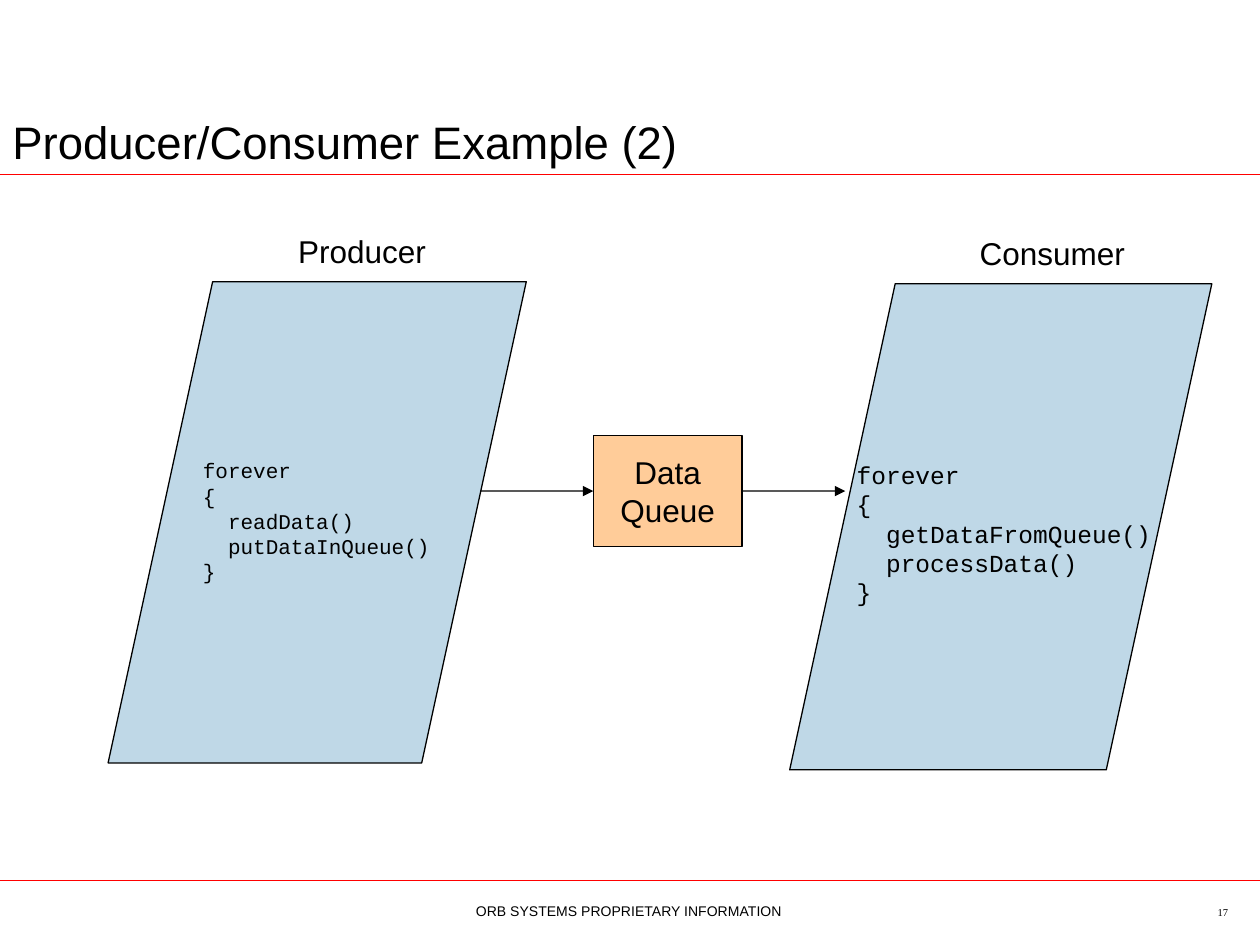
from dataclasses import dataclass

from lxml import etree
from pptx import Presentation
from pptx.dml.color import RGBColor
from pptx.enum.shapes import MSO_CONNECTOR, MSO_SHAPE
from pptx.enum.text import MSO_ANCHOR, PP_ALIGN
from pptx.oxml.ns import qn
from pptx.util import Cm, Pt

STRAIGHT = MSO_CONNECTOR.STRAIGHT
PARALLELOGRAM, RECTANGLE = MSO_SHAPE.PARALLELOGRAM, MSO_SHAPE.RECTANGLE
LEFT, CENTER, RIGHT = PP_ALIGN.LEFT, PP_ALIGN.CENTER, PP_ALIGN.RIGHT
TOP, MIDDLE, BOTTOM = MSO_ANCHOR.TOP, MSO_ANCHOR.MIDDLE, MSO_ANCHOR.BOTTOM
LEFT_SIDE, RIGHT_SIDE = 1, 3


@dataclass(frozen=True)
class Theme:
    """Colours, fonts and sizes of the slide."""
    ink: RGBColor = RGBColor(0, 0, 0)
    rule: RGBColor = RGBColor(0xFF, 0, 0)
    process: RGBColor = RGBColor(0xBF, 0xD8, 0xE7)
    queue: RGBColor = RGBColor(0xFF, 0xCC, 0x99)
    sans: str = "Arial"
    mono: str = "Courier New"
    serif: str = "Times New Roman"
    title: float = 26
    label: float = 18
    footer: float = 8
    number: float = 6
    outline: float = 0.75
    rule_width: float = 1


THEME = Theme()


def write(frame, text, size, font=THEME.sans, align=LEFT, anchor=TOP, wrap=False):
    """Fill a text frame and format its runs."""
    frame.text = text
    frame.word_wrap = wrap
    frame.vertical_anchor = anchor
    frame.margin_left = frame.margin_right = Cm(0.25)
    frame.margin_top = frame.margin_bottom = Cm(0.13)
    for paragraph in frame.paragraphs:
        paragraph.alignment = align
        for run in paragraph.runs:
            run.font.size = Pt(size)
            run.font.name = font
            run.font.color.rgb = THEME.ink


def add_text(slide, box, text, size, **style):
    """Add a text box at box and return its frame."""
    frame = slide.shapes.add_textbox(*map(Cm, box)).text_frame
    write(frame, text, size, **style)
    return frame


def add_block(slide, kind, box, fill):
    """Add an outlined, filled shape."""
    block = slide.shapes.add_shape(kind, *map(Cm, box))
    block.shadow.inherit = False
    block.fill.solid()
    block.fill.fore_color.rgb = fill
    block.line.color.rgb = THEME.ink
    block.line.width = Pt(THEME.outline)
    return block


def add_line(slide, start, end, y, color, width):
    """Add a horizontal line without a shadow."""
    line = slide.shapes.add_connector(STRAIGHT, Cm(start), Cm(y), Cm(end), Cm(y))
    line.line.color.rgb = color
    line.line.width = Pt(width)
    etree.SubElement(line._element.spPr, qn("a:effectLst"))
    return line


def add_arrow(slide, start, end, y):
    """Add a horizontal line with a triangle at its end."""
    arrow = add_line(slide, start, end, y, THEME.ink, THEME.outline)
    etree.SubElement(arrow.line._get_or_add_ln(), qn("a:tailEnd"), type="triangle")
    return arrow


def add_header(slide, box, text, width):
    """Place the title above a full-width rule."""
    left, top, title_width, height = box
    title = slide.shapes.title
    title.left, title.top, title.width, title.height = map(Cm, box)
    write(title.text_frame, text, THEME.title, anchor=BOTTOM, wrap=True)
    add_line(slide, left, left + width, top + height, THEME.rule, THEME.rule_width)


def add_footer(slide, box, notice, number):
    """Place the footer rule, the notice and the slide number."""
    left, top, width, height = box
    add_line(slide, left, left + width, top, THEME.rule, THEME.rule_width)
    frame = add_text(slide, (left + 8.68, top + 0.49, 8, 0.3), notice,
                     THEME.footer, align=CENTER)
    frame.margin_left = frame.margin_right = 0
    frame.margin_top = frame.margin_bottom = 0
    frame.paragraphs[0].line_spacing = 0.9
    add_text(slide, (left + width - 5.67, top + 0.39, 5.28, 0.56), number,
             THEME.number, font=THEME.serif, align=RIGHT, wrap=True)


def add_process(slide, box, name, calls, size, code_inset, code_width):
    """Place a named parallelogram with its endless loop of calls."""
    left, top, width, height = box
    add_block(slide, PARALLELOGRAM, box, THEME.process)
    add_text(slide, (left + 3.58, top - 1.13, 4.5, 1.02), name, THEME.label, wrap=True)
    code = "\n".join(["forever", "{", *calls, "}"])
    frame = add_text(slide, (left + code_inset, top + 3.42, code_width, size * 0.23),
                     code, size, font=THEME.mono, wrap=True)
    for call in frame.paragraphs[2:-1]:
        call._p.get_or_add_pPr().set("marL", str(Pt(size * 1.2)))


def add_queue(slide, box, text, source, target):
    """Place the queue with an arrow in from source and one out to target."""
    left, top, width, height = box
    queue = add_block(slide, RECTANGLE, box, THEME.queue)
    write(queue.text_frame, text, THEME.label, align=CENTER, anchor=MIDDLE)
    middle = top + height / 2
    add_arrow(slide, source, left, middle).end_connect(queue, LEFT_SIDE)
    add_arrow(slide, left + width, target, middle).begin_connect(queue, RIGHT_SIDE)


def main():
    """Build and save the slide."""
    deck = Presentation()
    deck.slide_width, deck.slide_height = Cm(25.4), Cm(19.05)
    slide = deck.slides.add_slide(deck.slide_layouts[5])
    add_header(slide, (0, 2, 23.95, 1.52), "Producer/Consumer Example (2)", 25.4)
    add_process(slide, (2.18, 5.68, 8.43, 9.7), "Producer",
                ["readData()", "putDataInQueue()"], 12, 1.66, 5.5)
    add_process(slide, (15.92, 5.72, 8.51, 9.8), "Consumer",
                ["getDataFromQueue()", "processData()"], 14, 1.1, 7)
    add_queue(slide, (11.96, 8.78, 3, 2.24), "Data\nQueue", 9.7, 17.04)
    add_footer(slide, (0, 17.75, 25.4, 1.3), "ORB SYSTEMS PROPRIETARY INFORMATION", "17")
    deck.save("out.pptx")


if __name__ == "__main__":
    main()
